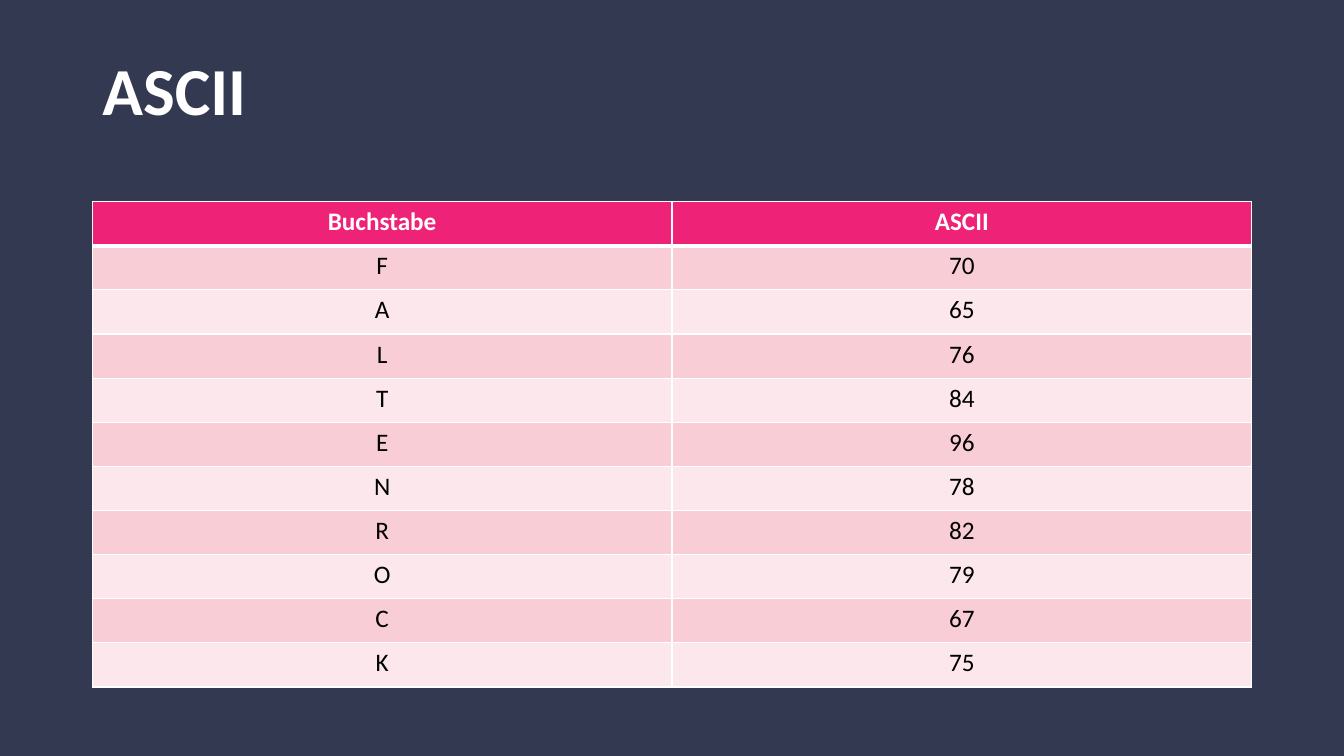
from collections import namedtuple
from dataclasses import dataclass

from lxml import etree
from pptx import Presentation
from pptx import util as u
from pptx.dml import color
from pptx.enum import text
from pptx.oxml import ns

Box = namedtuple("Box", "left top width height")


@dataclass(frozen=True)
class Theme:
    """Colours, font and type sizes of the deck."""
    page: str = "323951"
    header: str = "EE2377"
    bands: tuple = ("F8CDD6", "FCE8EC")
    light: str = "FFFFFF"
    dark: str = "000000"
    font: str = "Calibri"
    title_size: int = 48
    table_size: int = 18
    rule: int = 1
    header_rule: int = 3


THEME = Theme()
ROWS = [
    ("Buchstabe", "ASCII"),
    ("F", "70"), ("A", "65"), ("L", "76"), ("T", "84"), ("E", "96"),
    ("N", "78"), ("R", "82"), ("O", "79"), ("C", "67"), ("K", "75"),
]


def add_span(para, words, size, ink, bold):
    """Add one formatted run to a paragraph."""
    span = para.add_run()
    span.text = words
    span.font.name = THEME.font
    span.font.size = u.Pt(size)
    span.font.bold = bold
    span.font.color.rgb = color.RGBColor.from_string(ink)


def set_borders(cell, top, bottom):
    """Draw light borders with the given top and bottom widths in points."""
    props = cell._tc.get_or_add_tcPr()
    widths = {"L": THEME.rule, "R": THEME.rule, "T": top, "B": bottom}
    for side, width in widths.items():
        line = etree.SubElement(props, ns.qn(f"a:ln{side}"), w=str(u.Pt(width)))
        fill = etree.SubElement(line, ns.qn("a:solidFill"))
        etree.SubElement(fill, ns.qn("a:srgbClr"), val=THEME.light)


def place_title(page, box, words):
    """Place the title placeholder in its box."""
    title = page.shapes.title
    title.left, title.top, title.width, title.height = map(u.Pt, box)
    frame = title.text_frame
    frame.auto_size = text.MSO_AUTO_SIZE.NONE
    frame.vertical_anchor = text.MSO_ANCHOR.MIDDLE
    para = frame.paragraphs[0]
    para.alignment = text.PP_ALIGN.LEFT
    para.line_spacing = 0.9
    add_span(para, words, THEME.title_size, THEME.light, True)


def fill_cell(cell, words, row):
    """Write and style one cell according to its row."""
    is_header = row == 0
    set_borders(
        cell,
        THEME.header_rule if row == 1 else THEME.rule,
        THEME.header_rule if is_header else THEME.rule,
    )
    back = THEME.header if is_header else THEME.bands[(row - 1) % 2]
    cell.fill.solid()
    cell.fill.fore_color.rgb = color.RGBColor.from_string(back)
    para = cell.text_frame.paragraphs[0]
    para.alignment = text.PP_ALIGN.CENTER
    ink = THEME.light if is_header else THEME.dark
    add_span(para, words, THEME.table_size, ink, is_header)


def place_table(page, box, rows):
    """Fill the box with a table of equal rows and columns."""
    table = page.shapes.add_table(len(rows), len(rows[0]), *map(u.Pt, box)).table
    for column in table.columns:
        column.width = u.Pt(box.width / len(rows[0]))
    for line in table.rows:
        line.height = u.Pt(box.height / len(rows))
    for row, values in enumerate(rows):
        for column, words in enumerate(values):
            fill_cell(table.cell(row, column), words, row)


def build_table_page(deck, box):
    """Add a page with a title above a table, inside the given box."""
    page = deck.slides.add_slide(deck.slide_layouts[5])
    page.background.fill.solid()
    page.background.fill.fore_color.rgb = color.RGBColor.from_string(THEME.page)
    place_title(page, Box(box.left, box.top, box.width, 89), "ASCII")
    table_offset = 121.5
    place_table(
        page,
        Box(box.left, box.top + table_offset, box.width, box.height - table_offset),
        ROWS,
    )


def main():
    """Build and save the deck."""
    deck = Presentation()
    deck.slide_width, deck.slide_height = u.Pt(960), u.Pt(540)
    build_table_page(deck, Box(66, 22.5, 828, 468.5))
    deck.save("out.pptx")


if __name__ == "__main__":
    main()
